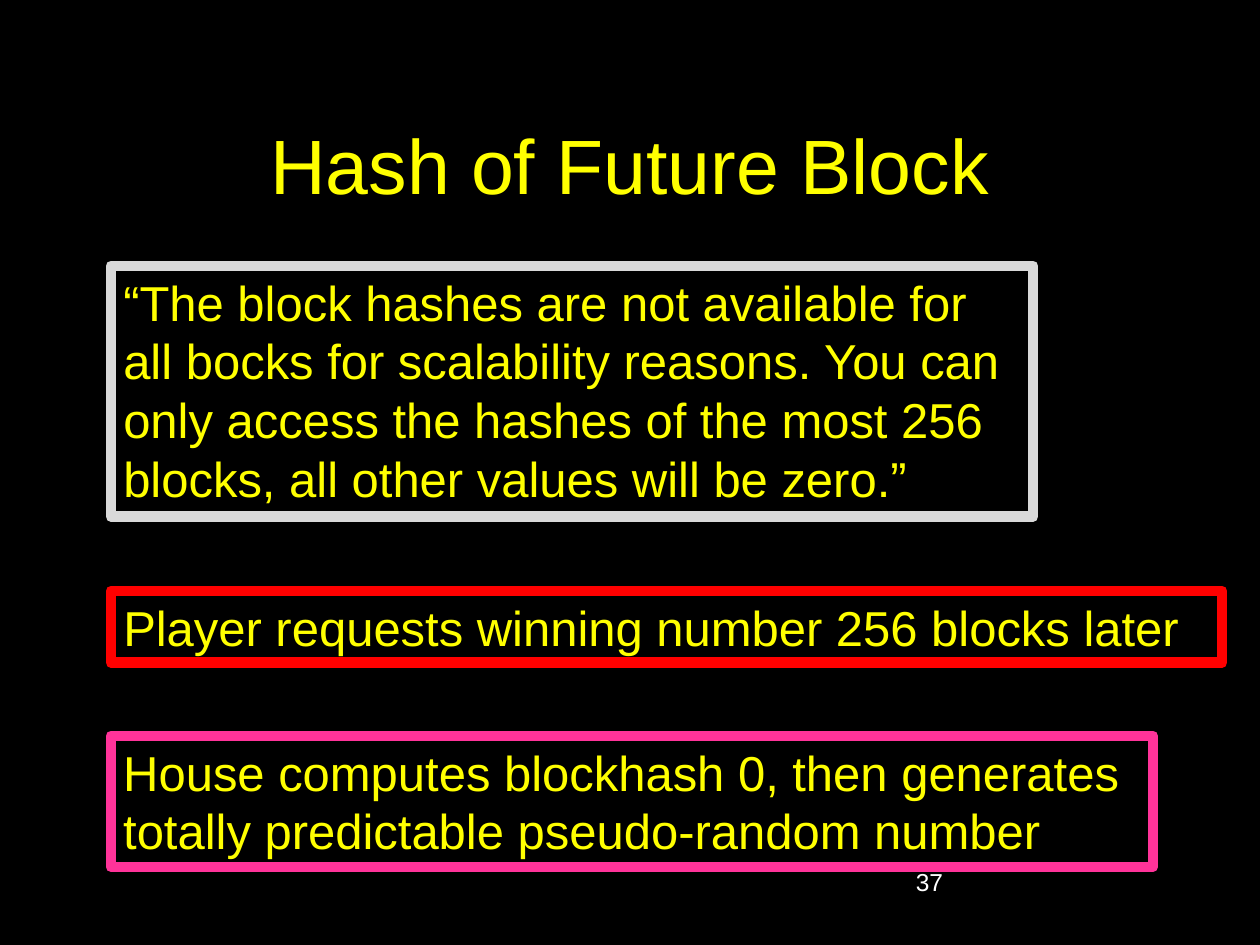
from pptx import Presentation
from pptx.dml.color import RGBColor
from pptx.enum.shapes import MSO_SHAPE
from pptx.enum.text import MSO_ANCHOR, PP_ALIGN
from pptx.util import Inches, Pt

COLORS = {
    "background": "000000",
    "text": "FFFF00",
    "number": "FFFFFF",
    "quote": "D9D9D9",
    "player": "FF0000",
    "house": "FF3399",
}
FONT = "Arial"
TITLE = "Hash of Future Block"
PAGE_NUMBER = "37"
BOX_LEFT = 0.88

# frame colour, top, width, height, text
BOXES = [
    ("quote", 2.11, 7.32, 1.99,
     "“The block hashes are not available for all bocks for scalability reasons. "
     "You can only access the hashes of the most 256 blocks, "
     "all other values will be zero.”"),
    ("player", 4.69, 8.82, 0.57,
     "Player requests winning number 256 blocks later"),
    ("house", 5.84, 8.27, 1.04,
     "House computes blockhash 0, then generates totally predictable "
     "pseudo-random number"),
]


def color(name):
    return RGBColor.from_string(COLORS[name])


def write(shape, text, size, color_name="text", align=PP_ALIGN.LEFT,
          anchor=MSO_ANCHOR.TOP):
    frame = shape.text_frame
    frame.word_wrap = True
    frame.vertical_anchor = anchor
    paragraph = frame.paragraphs[0]
    paragraph.alignment = align
    run = paragraph.add_run()
    run.text = text
    run.font.name = FONT
    run.font.size = Pt(size)
    run.font.color.rgb = color(color_name)


prs = Presentation()
prs.slide_width, prs.slide_height = Inches(10), Inches(7.5)
slide = prs.slides.add_slide(prs.slide_layouts[6])
slide.background.fill.solid()
slide.background.fill.fore_color.rgb = color("background")

title = slide.shapes.add_textbox(Inches(0.75), Inches(0.67), Inches(8.5), Inches(1.25))
write(title, TITLE, 44, align=PP_ALIGN.CENTER, anchor=MSO_ANCHOR.MIDDLE)

page_number = slide.shapes.add_textbox(Inches(7.17), Inches(6.83), Inches(2.08), Inches(0.5))
write(page_number, PAGE_NUMBER, 14, "number")

for frame_color, top, width, height, text in BOXES:
    box = slide.shapes.add_shape(MSO_SHAPE.RECTANGLE, Inches(BOX_LEFT), Inches(top),
                                 Inches(width), Inches(height))
    box.shadow.inherit = False
    box.fill.solid()
    box.fill.fore_color.rgb = color("background")
    box.line.color.rgb = color(frame_color)
    box.line.width = Pt(6)
    write(box, text, 28)

prs.save("out.pptx")
